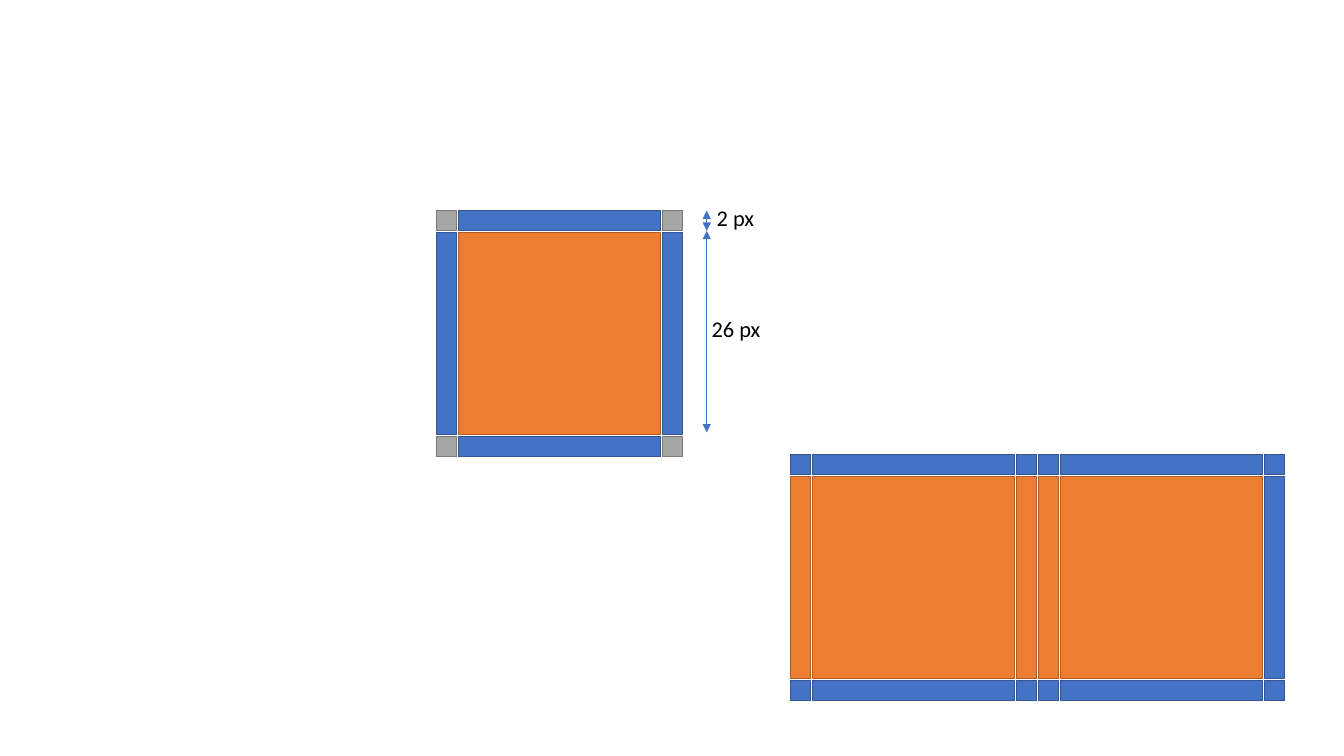
from dataclasses import dataclass

from lxml.etree import SubElement
from pptx import Presentation
from pptx.dml.color import RGBColor
from pptx.enum.shapes import MSO_CONNECTOR, MSO_SHAPE
from pptx.enum.text import MSO_AUTO_SIZE, PP_ALIGN
from pptx.oxml.ns import qn
from pptx.util import Inches, Pt


@dataclass(frozen=True)
class Theme:
    # Fill and outline of each kind of cell
    floor: tuple = ("ED7D31", "AF5C24")
    wall: tuple = ("4472C4", "325491")
    corner: tuple = ("A5A5A5", "7A7A7A")
    arrow: str = "4472C4"
    text: str = "000000"
    font: str = "Calibri"
    label_size: int = 16
    outline_width: float = 1
    arrow_width: float = 0.5


THEME = Theme()

# A tile is a 3 x 3 grid: thin edge, wide middle, thin edge
EDGE, MIDDLE = 0.2, 2
SIZES = (EDGE, MIDDLE, EDGE)
OFFSETS = (0, 0.22, 2.24)
TILE_PITCH = 2.46

# Middle first, then the sides, then the corners, as (row, column)
DRAW_ORDER = ((1, 1), (1, 2), (1, 0), (0, 1), (2, 1),
              (0, 0), (0, 2), (2, 2), (2, 0))

F, W, C = THEME.floor, THEME.wall, THEME.corner
SINGLE_TILE = ((C, W, C), (W, F, W), (C, W, C))
OPEN_TILE = ((W, W, W), (F, F, F), (W, W, W))
END_TILE = ((W, W, W), (F, F, W), (W, W, W))


def add_tile(shapes, left, top, cells):
    for row, column in DRAW_ORDER:
        fill, outline = cells[row][column]
        cell = shapes.add_shape(
            MSO_SHAPE.RECTANGLE,
            Inches(left + OFFSETS[column]), Inches(top + OFFSETS[row]),
            Inches(SIZES[column]), Inches(SIZES[row]))
        cell.shadow.inherit = False
        cell.fill.solid()
        cell.fill.fore_color.rgb = RGBColor.from_string(fill)
        cell.line.color.rgb = RGBColor.from_string(outline)
        cell.line.width = Pt(THEME.outline_width)


def add_label(slide, text, left, top, width=1, height=0.37,
              size=THEME.label_size, color=THEME.text, font=THEME.font):
    label = slide.shapes.add_textbox(
        Inches(left), Inches(top), Inches(width), Inches(height))
    frame = label.text_frame
    frame.word_wrap = True
    frame.auto_size = MSO_AUTO_SIZE.SHAPE_TO_FIT_TEXT
    paragraph = frame.paragraphs[0]
    paragraph.alignment = PP_ALIGN.LEFT
    run = paragraph.add_run()
    run.text = text
    run.font.size = Pt(size)
    run.font.name = font
    run.font.color.rgb = RGBColor.from_string(color)


def add_dimension_arrow(slide, x, top, length):
    arrow = slide.shapes.add_connector(
        MSO_CONNECTOR.STRAIGHT,
        Inches(x), Inches(top), Inches(x), Inches(top + length))
    arrow.line.color.rgb = RGBColor.from_string(THEME.arrow)
    arrow.line.width = Pt(THEME.arrow_width)
    outline = arrow.line._get_or_add_ln()
    for end in ("a:headEnd", "a:tailEnd"):
        SubElement(outline, qn(end), type="triangle")
    SubElement(arrow._element.spPr, qn("a:effectLst"))


def add_measured_tile(slide, left, top):
    """One grouped tile with the sizes of its wall and floor beside it."""
    add_tile(slide.shapes.add_group_shape().shapes, left, top, SINGLE_TILE)
    arrow_x = left + 2.68
    # Floor height
    add_dimension_arrow(slide, arrow_x, top + EDGE, MIDDLE)
    add_label(slide, "26 px", arrow_x - 0.05, top + 0.99)
    # Wall thickness
    add_dimension_arrow(slide, arrow_x, top, EDGE)
    add_label(slide, "2 px", arrow_x, top - 0.11)


def add_joined_tiles(slide, left, top):
    """Two neighbouring tiles that share an open passage."""
    for index, cells in enumerate((OPEN_TILE, END_TILE)):
        add_tile(slide.shapes, left + index * TILE_PITCH, top, cells)


def main():
    deck = Presentation()
    deck.slide_width, deck.slide_height = Inches(13.33), Inches(7.5)
    slide = deck.slides.add_slide(deck.slide_layouts[6])
    add_measured_tile(slide, 4.33, 2.09)
    add_joined_tiles(slide, 7.84, 4.51)
    deck.save("out.pptx")


if __name__ == "__main__":
    main()
